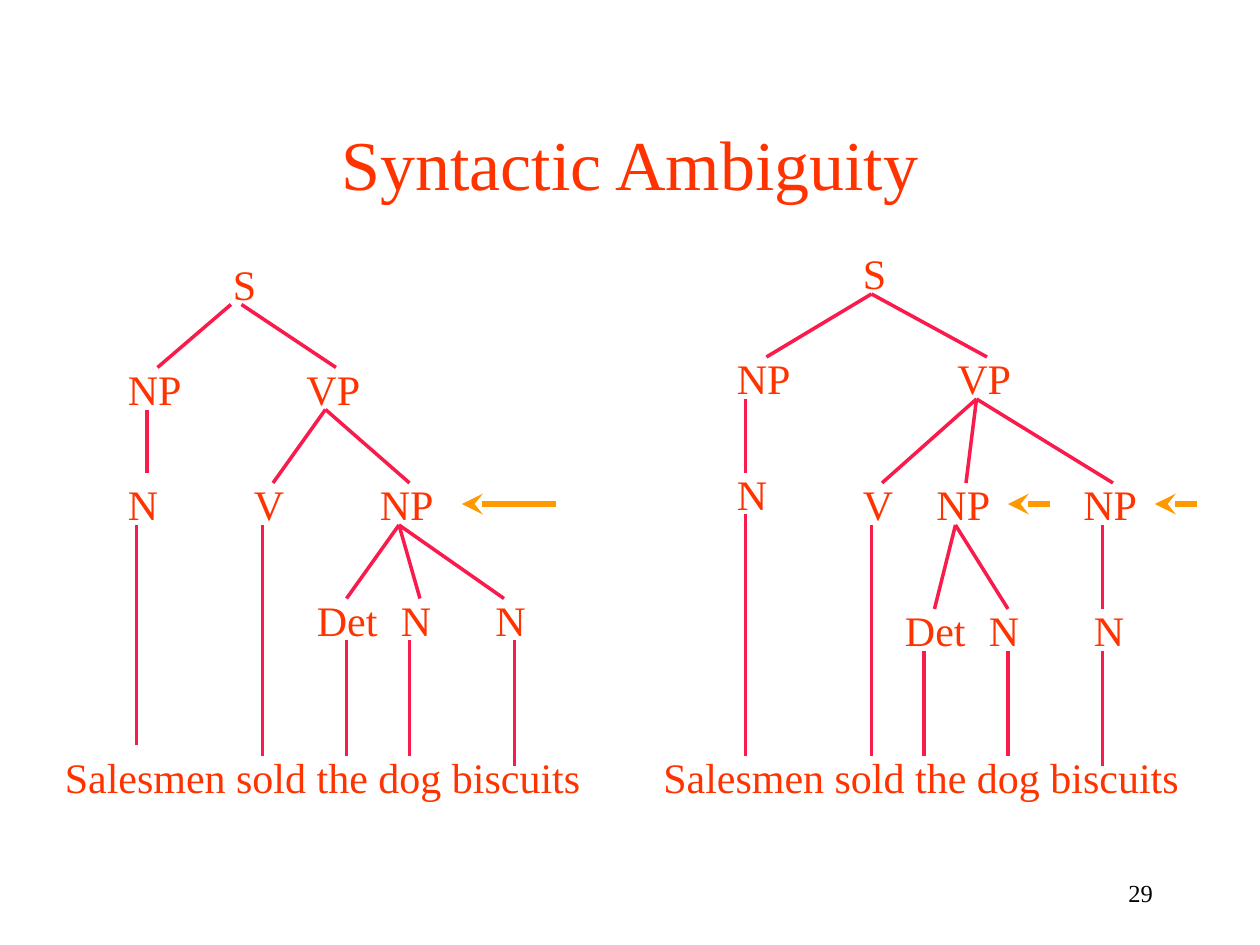
from lxml.etree import SubElement
from pptx import Presentation
from pptx.dml.color import RGBColor
from pptx.enum.shapes import MSO_CONNECTOR
from pptx.enum.text import MSO_ANCHOR, MSO_AUTO_SIZE, PP_ALIGN
from pptx.oxml.ns import qn
from pptx.util import Pt

SCALE = 9525
FONT = "Times New Roman"
RED, PINK, GOLD, BLACK = "FF3300", "F91B4B", "FF9900", "000000"


def px(*nums):
    return [n * SCALE for n in nums]


def color(code):
    return RGBColor.from_string(code)


class Page:
    def __init__(self, deck):
        self.slide = deck.slides.add_slide(deck.slide_layouts[5])
        self.shapes = self.slide.shapes

    def put(self, shape, text, size, tint, align):
        para = shape.text_frame.paragraphs[0]
        para.alignment = align
        run = para.add_run()
        run.text = text
        run.font.name = FONT
        run.font.size = Pt(size)
        run.font.color.rgb = color(tint)
        return para

    def title(self, text, *box):
        shape = self.shapes.title
        shape.left, shape.top, shape.width, shape.height = px(*box)
        frame = shape.text_frame
        frame.auto_size = MSO_AUTO_SIZE.NONE
        frame.vertical_anchor = MSO_ANCHOR.MIDDLE
        self.put(shape, text, 40, RED, PP_ALIGN.CENTER)

    def number(self, text, *box):
        shape = self.shapes.add_textbox(*px(*box))
        shape.text_frame.word_wrap = False
        shape.text_frame.vertical_anchor = MSO_ANCHOR.MIDDLE
        self.put(shape, text, 14, BLACK, PP_ALIGN.RIGHT)

    def label(self, text, x, y, wide, high=48):
        shape = self.shapes.add_textbox(*px(x, y, wide, high))
        shape.text_frame.word_wrap = True
        shape.text_frame.auto_size = MSO_AUTO_SIZE.SHAPE_TO_FIT_TEXT
        para = self.put(shape, text, 24, RED, PP_ALIGN.LEFT)
        para.space_before = Pt(15)

    def line(self, start, end, tint=PINK, width=2):
        link = self.shapes.add_connector(
            MSO_CONNECTOR.STRAIGHT, *px(*start, *end))
        link.line.color.rgb = color(tint)
        link.line.width = Pt(width)
        SubElement(link._element.spPr, qn("a:effectLst"))
        return link

    def fan(self, x, y, low, *ends):
        for end in ends:
            self.line((x, y), (end, low))

    def arrow(self, x, tip, y):
        link = self.line((x, y), (tip, y), GOLD, 4)
        edge = link._element.spPr.find(qn("a:ln"))
        SubElement(edge, qn("a:tailEnd"), type="stealth")


WIDE = {"S": 56, "NP": 64, "VP": 72, "V": 48, "N": 48, "Det": 72}
NODES = [
    ("S", (648, 184), (168, 192)),
    ("NP", (88, 272), (552, 264), (704, 360), (816, 360), (280, 360, 86)),
    ("VP", (224, 272), (720, 264)),
    ("V", (184, 360), (648, 360)),
    ("N", (88, 360), (552, 352), (296, 448), (368, 448),
     (744, 456), (824, 456)),
    ("Det", (232, 448), (680, 456)),
]
FANS = [
    (176, 232, 280, 120), (184, 232, 280, 256), (112, 312, 360, 112),
    (248, 312, 368, 208, 312), (304, 400, 456, 264, 320, 384),
    (664, 224, 272, 584, 752), (568, 304, 360, 568),
    (744, 304, 368, 672, 736, 848), (728, 400, 464, 712, 768),
    (840, 400, 464, 840),
]
STEMS = [
    (104, 400, 568), (200, 400, 576), (264, 488, 576), (312, 488, 576),
    (392, 488, 584), (568, 392, 576), (664, 400, 576), (704, 496, 576),
    (768, 496, 576), (840, 496, 584),
]


def main():
    deck = Presentation()
    deck.slide_width, deck.slide_height = px(960, 720)
    page = Page(deck)
    page.number("29", 688, 656, 200, 48)
    page.title("Syntactic Ambiguity", 72, 64, 816, 120)
    for text, *spots in NODES:
        for x, y, *high in spots:
            page.label(text, x, y, WIDE[text], *high)
    for x in (40, 496):
        page.label("Salesmen sold the dog biscuits", x, 568, 432)
    for fan in FANS:
        page.fan(*fan)
    for x, top, low in STEMS:
        page.fan(x, top, low, x)
    for x, tip in ((424, 352), (800, 768), (912, 880)):
        page.arrow(x, tip, 384)
    deck.save("out.pptx")


if __name__ == "__main__":
    main()
